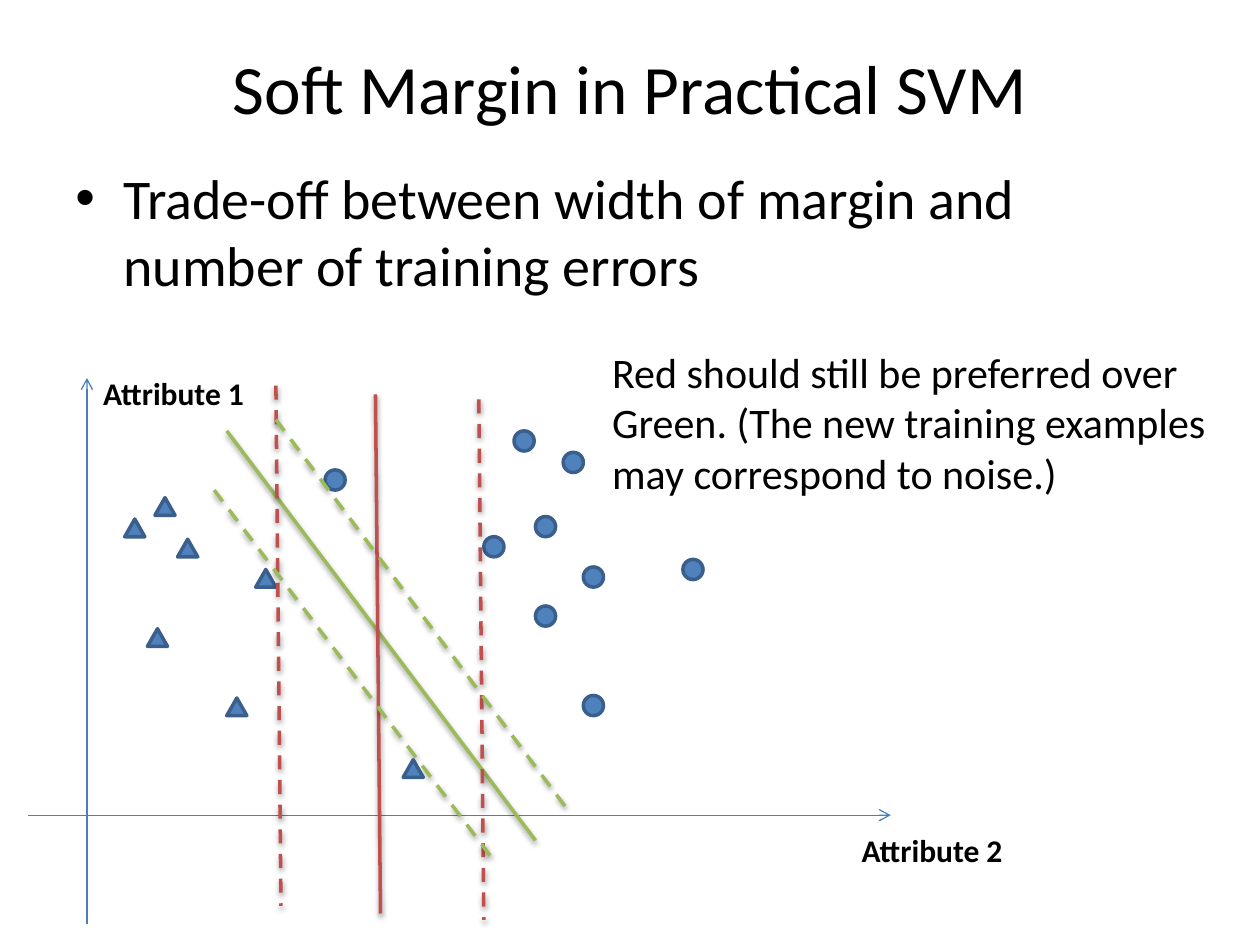
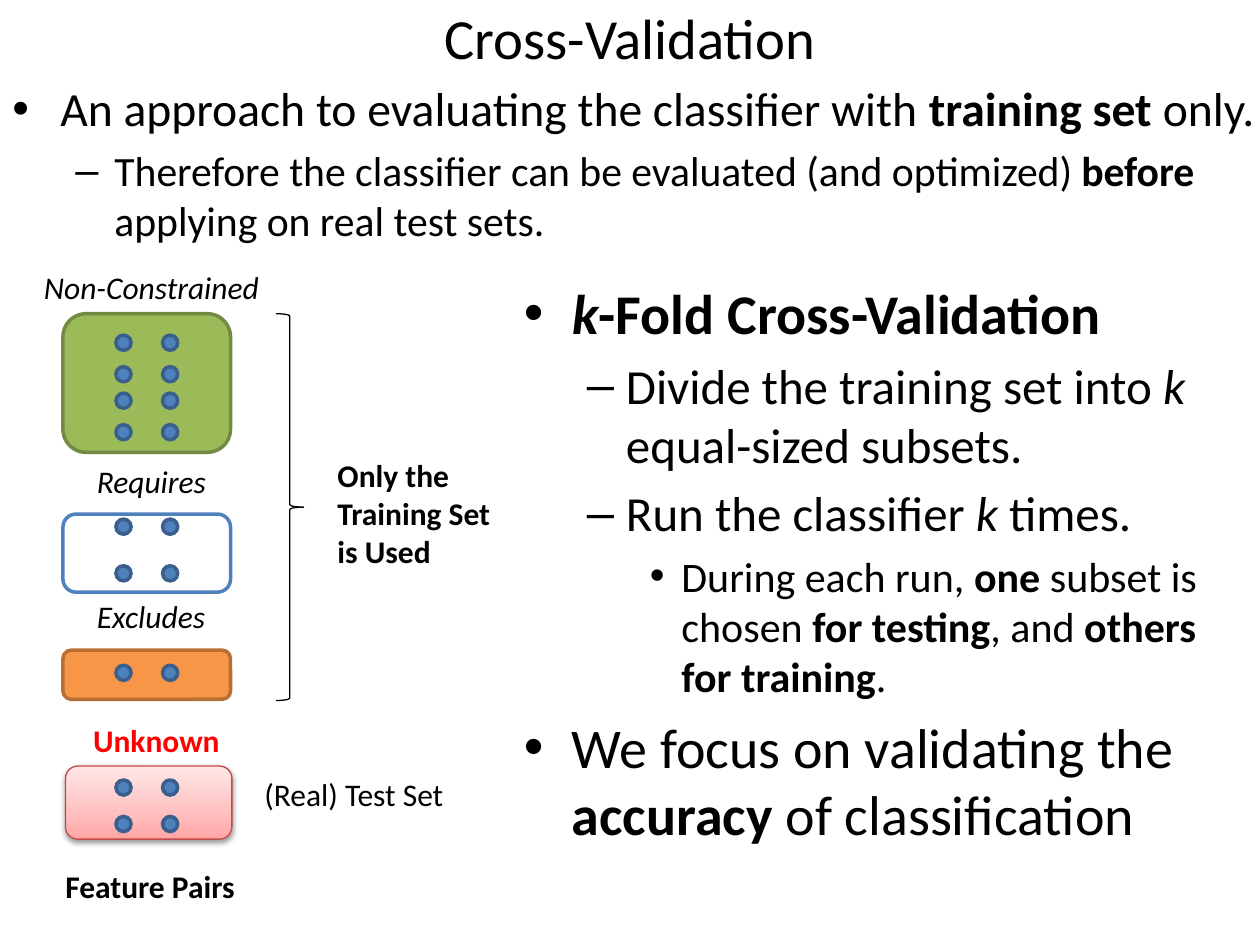
from dataclasses import dataclass
from itertools import product
from typing import Any, Optional

from pptx import Presentation
from pptx.dml.color import RGBColor
from pptx.enum.dml import MSO_LINE
from pptx.enum.shapes import MSO_CONNECTOR, MSO_SHAPE
from pptx.enum.text import MSO_ANCHOR, MSO_AUTO_SIZE, PP_ALIGN
from pptx.oxml import parse_xml
from pptx.oxml.ns import nsdecls, qn
from pptx.util import Emu, Inches, Pt

ELLIPSE = MSO_SHAPE.OVAL
TRIANGLE = MSO_SHAPE.ISOSCELES_TRIANGLE
ROUNDED = MSO_SHAPE.ROUNDED_RECTANGLE
BRACE = MSO_SHAPE.RIGHT_BRACE
STRAIGHT = MSO_CONNECTOR.STRAIGHT
DASH = MSO_LINE.DASH
MIDDLE = MSO_ANCHOR.MIDDLE
CENTER = PP_ALIGN.CENTER
FIT_SHAPE = MSO_AUTO_SIZE.SHAPE_TO_FIT_TEXT
NO_FIT = MSO_AUTO_SIZE.NONE
TITLE_ONLY = 5


@dataclass(frozen=True)
class Theme:
    font: str = "Calibri"
    text: str = "000000"
    alert: str = "FF0000"
    white: str = "FFFFFF"
    point: str = "4F81BD"
    point_edge: str = "3A5F8C"
    axis: str = "4B7EBC"
    green: str = "9BBB59"
    green_edge: str = "738A42"
    red: str = "C0504D"
    orange: str = "F79646"
    orange_edge: str = "B76F34"
    pink_edge: str = "BF4C48"
    pink_stops: tuple = ((0, "FFA6A5"), (35, "FFC0BF"), (100, "FFE7E7"))
    label_size: float = 18
    note_size: float = 24
    body_sizes: tuple = (32, 28, 24)
    compact_sizes: tuple = (27.2, 23.8)
    thin: float = 0.75
    thick: float = 2


THEME = Theme()
BULLETS = (("•", 0.38, 0.38), ("–", 0.81, 0.31), ("•", 1.25, 0.25))


@dataclass(frozen=True)
class Run:
    text: str
    bold: bool = False
    italic: bool = False


@dataclass(frozen=True)
class Bullet:
    level: int
    runs: tuple


@dataclass(frozen=True)
class Label:
    text: str
    box: tuple
    bold: bool = False
    italic: bool = False
    color: str = THEME.text
    size: float = THEME.label_size
    wrap: bool = False


@dataclass(frozen=True)
class Line:
    start: tuple
    end: tuple
    color: str
    width: float = THEME.thick
    dashed: bool = False
    arrow: bool = False
    shadow: bool = False


@dataclass(frozen=True)
class FeatureGroup:
    label: Label
    box: tuple
    fill: Any
    edge: str
    dot_tops: tuple
    edge_width: float = THEME.thick
    shadow: bool = False


def apply_format(target: Any, values: dict) -> None:
    for name, value in values.items():
        setattr(target, name, value)


def add_run(paragraph: Any, run: Run, size: float, color: str = THEME.text) -> None:
    text_run = paragraph.add_run()
    text_run.text = run.text
    apply_format(text_run.font, {"name": THEME.font, "size": Pt(size), "bold": run.bold, "italic": run.italic})
    text_run.font.color.rgb = RGBColor.from_string(color)


def add_shadow(effects: Any) -> None:
    effects.append(parse_xml(
        f'<a:outerShdw {nsdecls("a")} blurRad="40000" dist="20000" dir="5400000" rotWithShape="0">'
        '<a:srgbClr val="000000"><a:alpha val="38000"/></a:srgbClr></a:outerShdw>'))


def add_titled_slide(presentation: Any, title: str, box: tuple, size: float) -> Any:
    slide = presentation.slides.add_slide(presentation.slide_layouts[TITLE_ONLY])
    placeholder = slide.shapes.title
    apply_format(placeholder, dict(zip(("left", "top", "width", "height"), map(Inches, box))))
    apply_format(placeholder.text_frame, {"vertical_anchor": MIDDLE, "word_wrap": True, "auto_size": NO_FIT})
    paragraph = placeholder.text_frame.paragraphs[0]
    paragraph.alignment = CENTER
    add_run(paragraph, Run(title), size)
    return slide


def add_label(slide: Any, label: Label) -> None:
    frame = slide.shapes.add_textbox(*map(Inches, label.box)).text_frame
    apply_format(frame, {"word_wrap": label.wrap, "auto_size": FIT_SHAPE})
    add_run(frame.paragraphs[0], Run(label.text, label.bold, label.italic), label.size, label.color)


def add_bullets(slide: Any, box: tuple, bullets: tuple, sizes: tuple) -> None:
    frame = slide.shapes.add_textbox(*map(Inches, box)).text_frame
    frame.word_wrap = True
    for index, bullet in enumerate(bullets):
        paragraph = frame.add_paragraph() if index else frame.paragraphs[0]
        character, margin, hanging = BULLETS[bullet.level]
        size = sizes[bullet.level]
        properties = paragraph._p.get_or_add_pPr()
        properties.set("marL", str(Inches(margin)))
        properties.set("indent", str(-Inches(hanging)))
        properties.append(parse_xml(f'<a:buFont {nsdecls("a")} typeface="Arial"/>'))
        properties.append(parse_xml(f'<a:buChar {nsdecls("a")} char="{character}"/>'))
        apply_format(paragraph, {"level": bullet.level, "space_before": Pt(0.2 * size if index else 0)})
        for run in bullet.runs:
            add_run(paragraph, run, size)


def add_figure(slide: Any, kind: Any, box: tuple, fill: Any, edge: str,
               edge_width: float = THEME.thick, shadow: bool = False) -> None:
    shape = slide.shapes.add_shape(kind, *map(Inches, box))
    shape.shadow.inherit = False
    properties = shape._element.spPr
    if isinstance(fill, str):
        shape.fill.solid()
        shape.fill.fore_color.rgb = RGBColor.from_string(fill)
    else:
        shape.fill.background()
    if isinstance(fill, tuple):
        stops = "".join(f'<a:gs pos="{position * 1000}"><a:srgbClr val="{color}"/></a:gs>'
                        for position, color in fill)
        properties.replace(properties.find(qn("a:noFill")), parse_xml(
            f'<a:gradFill {nsdecls("a")} rotWithShape="1"><a:gsLst>{stops}</a:gsLst>'
            '<a:lin ang="16200000" scaled="0"/></a:gradFill>'))
    shape.line.color.rgb = RGBColor.from_string(edge)
    shape.line.width = Pt(edge_width)
    if shadow:
        add_shadow(properties.find(qn("a:effectLst")))


def add_line(slide: Any, line: Line) -> None:
    connector = slide.shapes.add_connector(STRAIGHT, *map(Inches, line.start + line.end))
    connector.line.color.rgb = RGBColor.from_string(line.color)
    apply_format(connector.line, {"width": Pt(line.width), "dash_style": DASH if line.dashed else None})
    if line.arrow:
        connector.line._get_or_add_ln().append(parse_xml(f'<a:tailEnd {nsdecls("a")} type="arrow"/>'))
    effects = parse_xml(f'<a:effectLst {nsdecls("a")}/>')
    connector._element.spPr.append(effects)
    if line.shadow:
        add_shadow(effects)


def add_points(slide: Any, kind: Any, size: tuple, corners: Any) -> None:
    for corner in corners:
        add_figure(slide, kind, tuple(corner) + size, THEME.point, THEME.point_edge)


def boundary(start: tuple, end: tuple, color: str, dashed: bool = True) -> Line:
    return Line(start, end, color, dashed=dashed, shadow=True)


def build_soft_margin(presentation: Any) -> None:
    circle_size, triangle_size = (0.16, 0.16), (0.16, 0.14)
    circles = ((4.08, 3.42), (4.47, 3.59), (4.25, 4.1), (4.63, 4.5),
               (3.84, 4.26), (4.25, 4.81), (4.63, 5.52), (5.42, 4.44))
    triangles = ((0.99, 4.12), (1.23, 3.95), (2.03, 4.52), (1.41, 4.28), (1.8, 5.54), (1.17, 4.99))
    axes = (Line((0.22, 6.47), (7.07, 6.47), THEME.axis, THEME.thin, arrow=True),
            Line((0.69, 7.33), (0.69, 3), THEME.axis, THEME.thin, arrow=True))
    boundaries = (boundary((1.8, 3.42), (4.25, 6.67), THEME.green, dashed=False),
                  boundary((2.98, 3.13), (3.02, 7.25), THEME.red, dashed=False),
                  boundary((2.19, 3.06), (2.23, 7.19), THEME.red),
                  boundary((3.8, 3.17), (3.84, 7.3), THEME.red),
                  boundary((1.7, 3.89), (3.92, 6.83), THEME.green))
    labels = (Label("Attribute 2", (6.74, 6.55, 1.34, 0.4), bold=True),
              Label("Attribute 1", (0.72, 2.92, 1.34, 0.4), bold=True),
              Label("Red should still be preferred over Green. (The new training examples "
                    "may correspond to noise.)", (4.76, 2.7, 4.99, 1.31), size=THEME.note_size, wrap=True))

    slide = add_titled_slide(presentation, "Soft Margin in Practical SVM", (0.5, 0.3, 9, 0.78), 39.6)
    add_bullets(slide, (0.5, 1.25, 9, 5.45), (
        Bullet(0, (Run("Trade-off between width of margin and number of training errors"),)),), THEME.body_sizes)
    for axis in axes:
        add_line(slide, axis)
    add_points(slide, ELLIPSE, circle_size, circles)
    add_points(slide, TRIANGLE, triangle_size, triangles)
    for line in boundaries:
        add_line(slide, line)
    for label in labels:
        add_label(slide, label)
    add_points(slide, TRIANGLE, triangle_size, ((3.2, 6.03),))
    add_points(slide, ELLIPSE, circle_size, ((2.58, 3.73),))
    add_line(slide, boundary((2.19, 3.33), (4.5, 6.42), THEME.green))


def build_cross_validation(presentation: Any) -> None:
    dot_columns, dot_size = (0.92, 1.29), (0.12, 0.12)
    groups = (
        FeatureGroup(Label("Non-Constrained", (0.25, 2.08, 1.94, 0.4), italic=True),
                     (0.5, 2.49, 1.33, 1.1), THEME.green, THEME.green_edge, (2.66, 2.91, 3.12, 3.37)),
        FeatureGroup(Label("Requires", (0.67, 3.62, 1.09, 0.4), italic=True),
                     (0.5, 4.08, 1.33, 0.62), THEME.white, THEME.point, (4.12, 4.49)),
        FeatureGroup(Label("Excludes", (0.67, 4.69, 1.08, 0.4), italic=True),
                     (0.5, 5.16, 1.33, 0.39), THEME.orange, THEME.orange_edge, (5.28,)),
        FeatureGroup(Label("Unknown", (0.64, 5.67, 1.21, 0.4), bold=True, color=THEME.alert),
                     (0.52, 6.08, 1.32, 0.58), THEME.pink_stops, THEME.pink_edge, (6.19, 6.48),
                     THEME.thin, shadow=True))
    labels = (Label("Feature Pairs", (0.42, 6.83, 1.56, 0.4), bold=True),
              Label("Only the Training Set is Used", (2.58, 3.57, 1.42, 1.01), bold=True, wrap=True),
              Label("(Real) Test Set", (2, 6.1, 1.64, 0.4)))
    approach = (
        Bullet(0, (Run("An approach to evaluating the classifier with "), Run("training set", bold=True),
                   Run(" only."))),
        Bullet(1, (Run("Therefore the classifier can be evaluated (and optimized) "),
                   Run("before", bold=True), Run(" applying on real test sets."))))
    folds = (
        Bullet(0, (Run("k", bold=True, italic=True), Run("-Fold Cross-Validation", bold=True))),
        Bullet(1, (Run("Divide the training set into "), Run("k ", italic=True), Run("equal-sized subsets."))),
        Bullet(1, (Run("Run the classifier "), Run("k ", italic=True), Run("times."))),
        Bullet(2, (Run("During each run, "), Run("one", bold=True), Run(" subset is chosen "),
                   Run("for testing", bold=True), Run(", and "), Run("others for training", bold=True),
                   Run("."))),
        Bullet(0, (Run("We focus on validating the "), Run("accuracy", bold=True),
                   Run(" of classification"))))

    slide = add_titled_slide(presentation, "Cross-Validation", (0.5, 0, 9, 0.58), 32.4)
    add_bullets(slide, (0, 0.58, 10.08, 1.57), approach, THEME.compact_sizes)
    for group in groups:
        add_figure(slide, ROUNDED, group.box, group.fill, group.edge, group.edge_width, group.shadow)
        add_points(slide, ELLIPSE, dot_size, product(dot_columns, group.dot_tops))
        add_label(slide, group.label)
    add_figure(slide, BRACE, (2.19, 2.49, 0.22, 3.07), None, THEME.text, THEME.thin)
    for label in labels:
        add_label(slide, label)
    add_bullets(slide, (4.06, 2.16, 5.78, 4.87), folds, THEME.body_sizes)


def main() -> None:
    presentation = Presentation()
    apply_format(presentation, {"slide_width": Emu(Inches(10)), "slide_height": Emu(Inches(7.5))})
    build_soft_margin(presentation)
    build_cross_validation(presentation)
    presentation.save("out.pptx")


if __name__ == "__main__":
    main()
